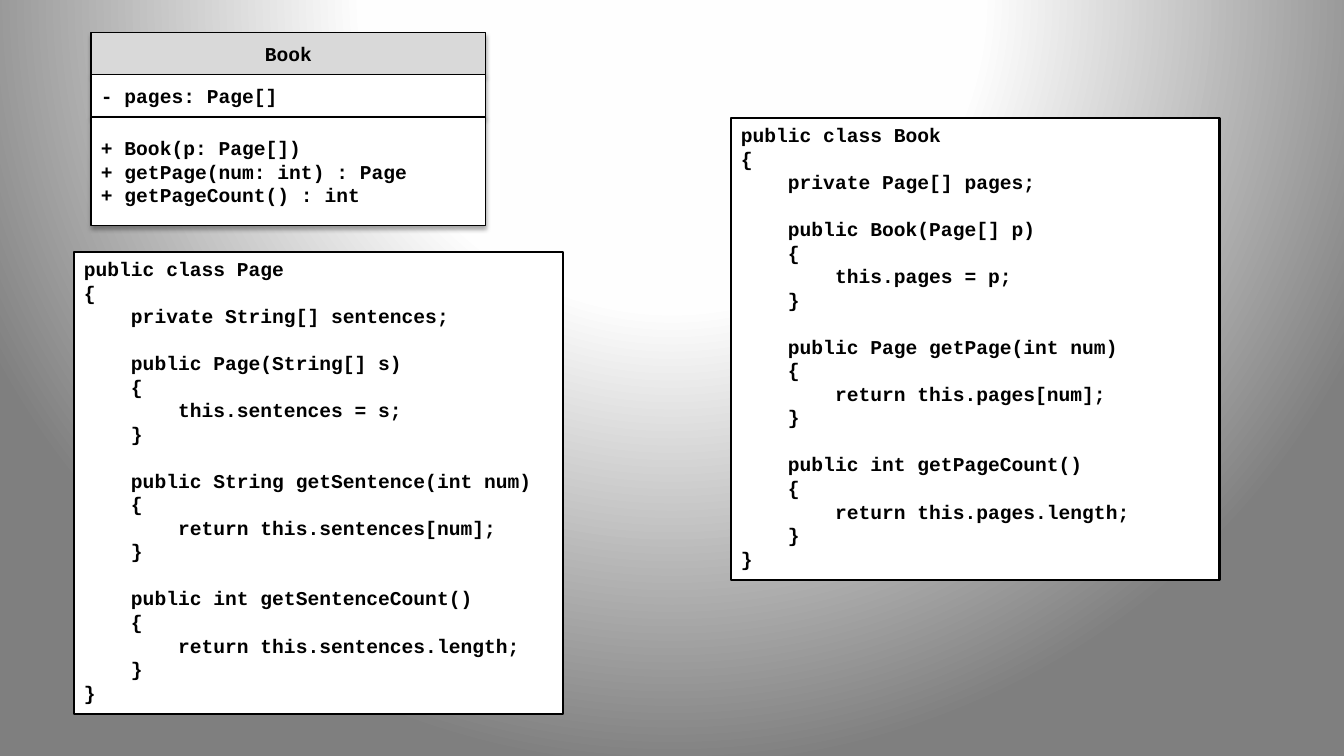
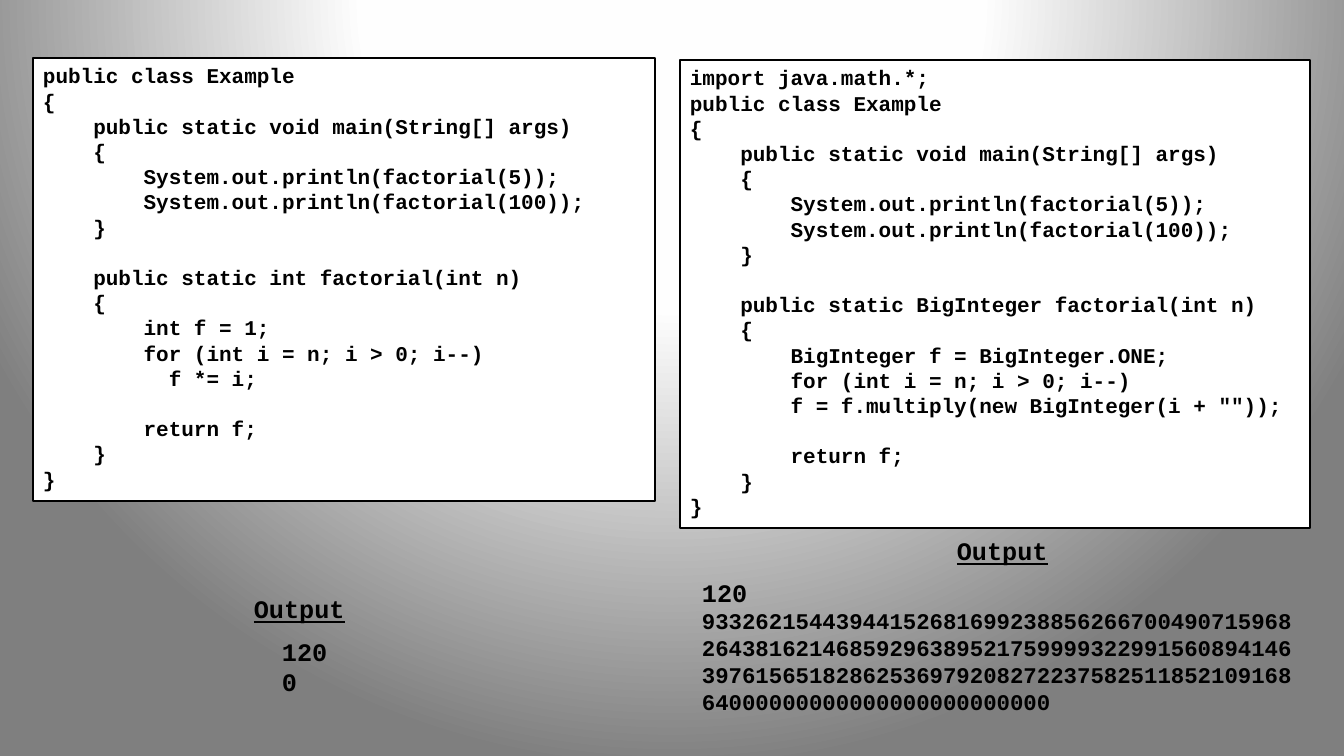
from pptx import Presentation
from pptx.dml.color import RGBColor
from pptx.enum.shapes import MSO_SHAPE as SHAPE
from pptx.enum.text import MSO_ANCHOR as ANCHOR, PP_ALIGN as ALIGN
from pptx.oxml import parse_xml
from pptx.oxml.ns import nsdecls, qn
from pptx.text.text import Font
from pptx.util import Pt

PX = 914400 / 100.8
FONT = "Courier New"
BLACK, WHITE, HEADER = "000000", "FFFFFF", "D9D9D9"
BACKGROUND = ((0, "FFFFFF"), (40, "FEFEFE"), (100, "7F7F7F"))
BIG_FACTORIAL = """93326215443944152681699238856266700490715968
26438162146859296389521759999322991560894146
39761565182862536979208272237582511852109168
64000000000000000000000000"""


def array_class(name, kind, item):
    field, arg = item.lower() + "s", item[0].lower()
    return f"""public class {name}
{{
    private {kind}[] {field};

    public {name}({kind}[] {arg})
    {{
        this.{field} = {arg};
    }}

    public {kind} get{item}(int num)
    {{
        return this.{field}[num];
    }}

    public int get{item}Count()
    {{
        return this.{field}.length;
    }}
}}"""


def factorial_class(kind, start, step):
    return f"""public class Example
{{
    public static void main(String[] args)
    {{
        System.out.println(factorial(5));
        System.out.println(factorial(100));
    }}

    public static {kind} factorial(int n)
    {{
        {kind} f = {start};
        for (int i = n; i > 0; i--)
{step}

        return f;
    }}
}}"""


def emu(*lengths):
    return [round(v * PX) for v in lengths]


def rgb(color):
    return RGBColor.from_string(color)


def set_background(master):
    stops = "".join(
        f'<a:gs pos="{pos * 1000}"><a:srgbClr val="{color}"/></a:gs>'
        for pos, color in BACKGROUND)
    bg = parse_xml(
        f'<p:bg {nsdecls("p", "a")}><p:bgPr><a:gradFill rotWithShape="1">'
        f'<a:gsLst>{stops}</a:gsLst><a:path path="circle">'
        '<a:fillToRect l="50000" t="-80000" r="50000" b="180000"/></a:path>'
        '</a:gradFill><a:effectLst/></p:bgPr></p:bg>')
    c_sld = master.element.cSld
    for old in c_sld.findall(qn("p:bg")):
        c_sld.remove(old)
    c_sld.insert(0, bg)


def write(tf, text, size=14, align=ALIGN.LEFT, underline=None):
    fresh = not tf.text
    for i, line in enumerate(text.split("\n")):
        p = tf.paragraphs[0] if fresh and i == 0 else tf.add_paragraph()
        p.alignment = align
        if line:
            r = p.add_run()
            r.text = line
            font = r.font
        else:
            font = Font(p._p.get_or_add_endParaRPr())
        font.name, font.size, font.bold = FONT, Pt(size), True
        font.underline = underline
        font.color.rgb = rgb(BLACK)


def add_box(shapes, x, y, w, h, text, fill=WHITE, line=2, anchor=ANCHOR.TOP, **fmt):
    sp = shapes.add_shape(SHAPE.RECTANGLE, *emu(x, y, w, h))
    sp.shadow.inherit = False
    sp.fill.solid()
    sp.fill.fore_color.rgb = rgb(fill)
    sp.line.color.rgb = rgb(BLACK)
    sp.line.width = Pt(line)
    tf = sp.text_frame
    tf.word_wrap = True
    tf.vertical_anchor = anchor
    write(tf, text, **fmt)
    return sp


def add_label(s, x, y, w, h, text, **fmt):
    tf = s.shapes.add_textbox(*emu(x, y, w, h)).text_frame
    tf.word_wrap = False
    write(tf, text, **fmt)
    return tf


def add_shadow(sp):
    effects = sp._element.spPr.find(qn("a:effectLst"))
    effects.append(parse_xml(
        f'<a:outerShdw {nsdecls("a")} blurRad="40000" dist="23000" '
        'dir="5400000" rotWithShape="0"><a:srgbClr val="000000">'
        '<a:alpha val="35000"/></a:srgbClr></a:outerShdw>'))


def add_class_diagram(s, x, y, w, name, fields, methods):
    group = s.shapes.add_group_shape()
    parts = ((42, name, HEADER, ALIGN.CENTER),
             (42, fields, WHITE, ALIGN.LEFT),
             (109, methods, WHITE, ALIGN.LEFT))
    for h, text, fill, align in parts:
        sp = add_box(group.shapes, x, y, w, h, text, fill=fill, line=0.75,
                     anchor=ANCHOR.MIDDLE, align=align)
        add_shadow(sp)
        y += h


def add_output_title(s, x, y):
    add_label(s, x, y, 112, 40, "Output", size=18, underline=True)


def build_book_slide(s):
    add_class_diagram(
        s, 91, 33, 395, "Book", "- pages: Page[]",
        "+ Book(p: Page[])\n+ getPage(num: int) : Page\n+ getPageCount() : int")
    add_box(s.shapes, 74, 252, 489, 462, array_class("Page", "String", "Sentence"))
    add_box(s.shapes, 731, 118, 489, 462, array_class("Book", "Page", "Page"))


def build_factorial_slide(s):
    int_code = factorial_class("int", "1", "          f *= i;")
    big_code = "import java.math.*;\n" + factorial_class(
        "BigInteger", "BigInteger.ONE",
        '        f = f.multiply(new BigInteger(i + ""));')
    add_box(s.shapes, 33, 58, 622, 443, int_code, size=15)
    add_box(s.shapes, 680, 60, 630, 468, big_code, size=15)
    add_output_title(s, 244, 588)
    add_label(s, 272, 631, 67, 72, "120\n0", size=18)
    add_output_title(s, 947, 530)
    tf = add_label(s, 692, 572, 618, 149, "120", size=18)
    write(tf, BIG_FACTORIAL, size=16)


def main():
    prs = Presentation()
    prs.slide_width, prs.slide_height = emu(1344, 756)
    set_background(prs.slide_master)
    for build in (build_book_slide, build_factorial_slide):
        build(prs.slides.add_slide(prs.slide_layouts[6]))
    prs.save("out.pptx")


if __name__ == "__main__":
    main()
